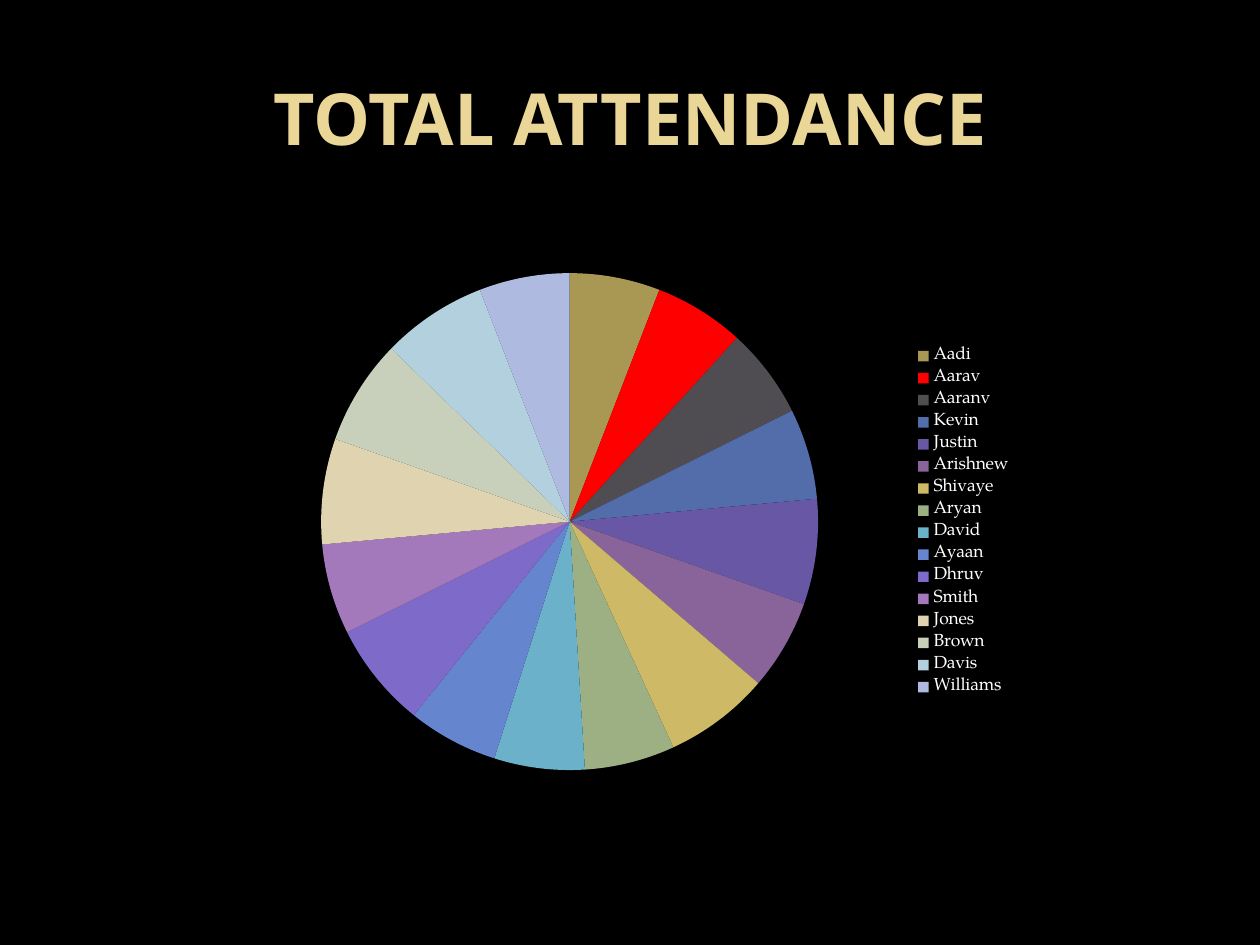
from pptx import Presentation
from pptx.chart.data import CategoryChartData
from pptx.dml.color import RGBColor
from pptx.enum.chart import XL_CHART_TYPE, XL_LEGEND_POSITION
from pptx.enum.text import MSO_ANCHOR, PP_ALIGN
from pptx.util import Inches, Pt

PIE = XL_CHART_TYPE.PIE
RIGHT = XL_LEGEND_POSITION.RIGHT
MIDDLE = MSO_ANCHOR.MIDDLE
CENTER = PP_ALIGN.CENTER

COLORS = {"back": "000000", "title": "EAD696", "label": "FFFFFF"}
FONTS = {
    "title": {"name": "Noto Sans", "size": Pt(41), "bold": True},
    "label": {"name": "TeX Gyre Pagella", "size": Pt(10), "bold": False},
}
PEOPLE = [
    ("Aadi", 6, "A99854"),
    ("Aarav", 6, "FF0000"),
    ("Aaranv", 6, "4F4D52"),
    ("Kevin", 6, "536DAA"),
    ("Justin", 7, "6857A5"),
    ("Arishnew", 6, "88649B"),
    ("Shivaye", 7, "CEB966"),
    ("Aryan", 6, "9CB084"),
    ("David", 6, "6BB1C9"),
    ("Ayaan", 6, "6585CF"),
    ("Dhruv", 7, "7E6BC9"),
    ("Smith", 6, "A379BB"),
    ("Jones", 7, "E0D4B0"),
    ("Brown", 7, "C8D0BC"),
    ("Davis", 7, "B3D0DE"),
    ("Williams", 6, "AFBAE0"),
]


def assign(target, values):
    for key, value in values.items():
        setattr(target, key, value)


def paint(fill, color):
    fill.solid()
    fill.fore_color.rgb = RGBColor.from_string(color)


class Deck:
    def __init__(self, colors, fonts):
        self.colors = colors
        self.fonts = fonts
        self.show = Presentation()
        assign(self.show, {"slide_width": Inches(10), "slide_height": Inches(7.5)})
        self.slide = self.show.slides.add_slide(self.show.slide_layouts[6])
        paint(self.slide.background.fill, colors["back"])

    def style(self, font, role):
        assign(font, self.fonts[role])
        font.color.rgb = RGBColor.from_string(self.colors[role])

    def text(self, words, box, role):
        frame = self.slide.shapes.add_textbox(*map(Inches, box)).text_frame
        assign(frame, {"word_wrap": True, "vertical_anchor": MIDDLE})
        line = frame.paragraphs[0]
        line.alignment = CENTER
        run = line.add_run()
        run.text = words
        self.style(run.font, role)

    def pie(self, rows, box, role):
        names, counts, fills = zip(*rows)
        data = CategoryChartData()
        data.categories = names
        data.add_series("Series 1", counts)
        chart = self.slide.shapes.add_chart(PIE, *map(Inches, box), data).chart
        assign(chart, {"has_title": False, "has_legend": True})
        assign(chart.legend, {"position": RIGHT, "include_in_layout": False})
        self.style(chart.font, role)
        plot = chart.plots[0]
        plot.vary_by_categories = True
        for index, color in enumerate(fills):
            slice_format = plot.series[0].points[index].format
            paint(slice_format.fill, color)
            slice_format.line.fill.background()


def main():
    deck = Deck(COLORS, FONTS)
    deck.text("TOTAL ATTENDANCE", (0.5, 0.3, 9, 1.25), "title")
    deck.pie(PEOPLE, (1.8, 2.03, 6.33, 4.22), "label")
    deck.show.save("out.pptx")


if __name__ == "__main__":
    main()
